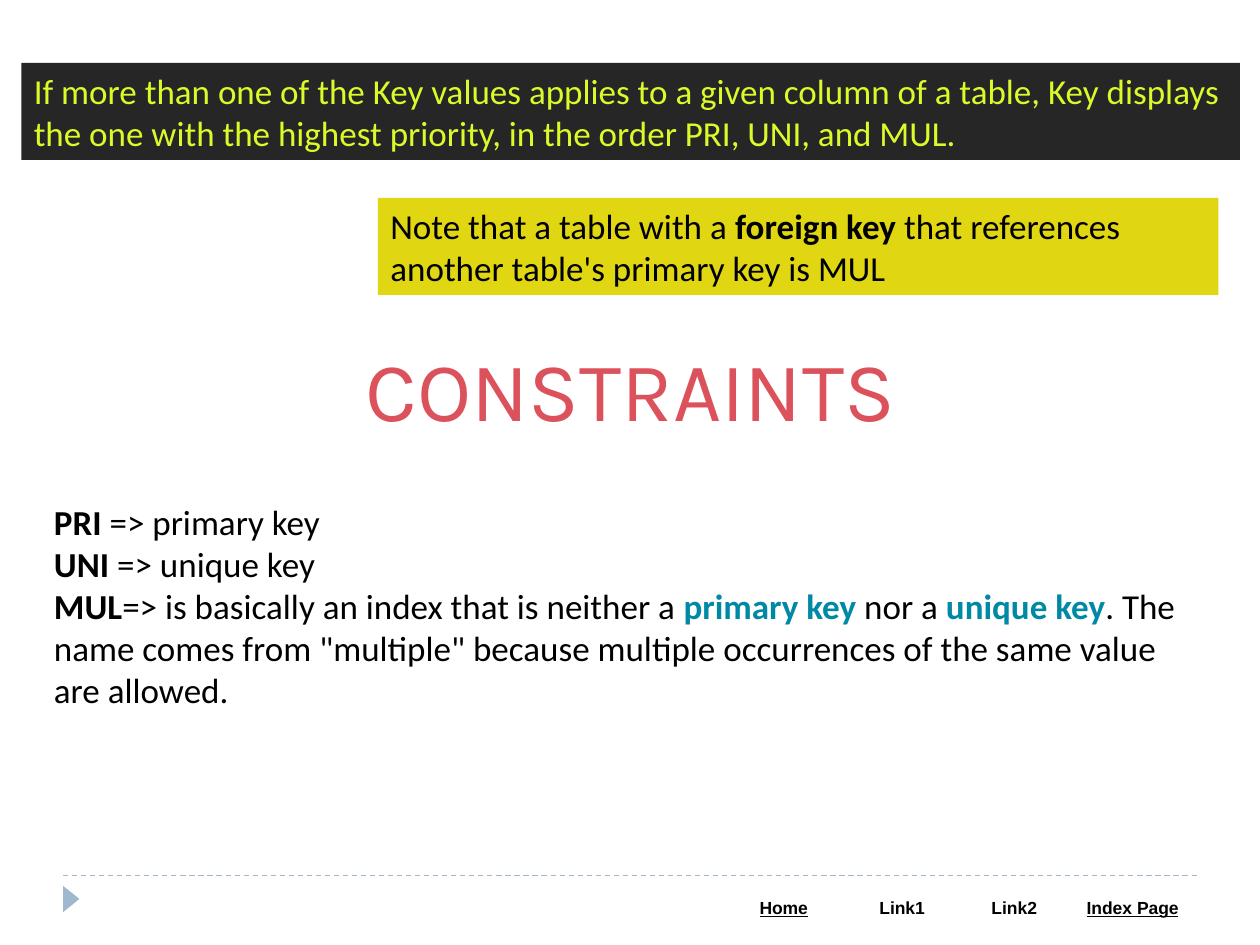
from lxml import etree
from pptx import Presentation
from pptx.dml.color import RGBColor
from pptx.enum import dml, shapes, text
from pptx.oxml.ns import qn
from pptx.util import Inches, Pt

BODY = {"name": "Calibri", "size": Pt(20), "bold": False}
TITLE = {"name": "Karla", "size": Pt(48), "bold": False}
LINK = {"name": "Arial", "size": Pt(10), "bold": True}
BLACK, TEAL, ACCENT = "000000", "0089A4", "9FB8CD"


def color(value):
    return RGBColor.from_string(value)


def inches(box):
    return [Inches(length) for length in box]


def write_spans(para, spans, style, default=BLACK):
    """Add (wording, changes) pairs; changes override the style's font values."""
    for wording, changes in spans:
        span = para.add_run()
        span.text = wording
        values = {**style, **changes}
        span.font.color.rgb = color(values.pop("color", default))
        for name, value in values.items():
            setattr(span.font, name, value)


def fill_frame(frame, paragraphs, style, default=BLACK,
               align=text.PP_ALIGN.LEFT, anchor=text.MSO_ANCHOR.TOP):
    frame.word_wrap = True
    frame.vertical_anchor = anchor
    for index, spans in enumerate(paragraphs):
        para = frame.add_paragraph() if index else frame.paragraphs[0]
        para.alignment = align
        write_spans(para, spans, style, default)


def add_plain_shape(page, kind, box, fill):
    shape = page.shapes.add_shape(kind, *inches(box))
    shape.shadow.inherit = False
    shape.fill.solid()
    shape.fill.fore_color.rgb = color(fill)
    shape.line.fill.background()
    return shape


def add_banner(page, box, fill, spans, default=BLACK):
    banner = add_plain_shape(page, shapes.MSO_SHAPE.RECTANGLE, box, fill)
    fill_frame(banner.text_frame, [spans], BODY, default)


def add_title(page, box, wording):
    title = page.shapes.add_textbox(*inches(box))
    fill_frame(title.text_frame, [[(wording, {})]], TITLE, "DC525C",
               text.PP_ALIGN.CENTER, text.MSO_ANCHOR.MIDDLE)


def add_key_list(page, box):
    bold, term = {"bold": True}, {"bold": True, "color": TEAL}
    paragraphs = [
        [("PRI", bold), (" => primary key", {})],
        [("UNI", bold), (" => unique key", {})],
        [("MUL", bold),
         ("=> is basically an index that is neither a ", {}),
         ("primary key ", term), ("nor a ", {}), ("unique key", term),
         (". The name comes from \"multiple\" because multiple occurrences "
          "of the same value are allowed.", {})],
    ]
    frame = page.shapes.add_textbox(*inches(box)).text_frame
    fill_frame(frame, paragraphs, BODY)


def add_link_table(page, box):
    links = [("Home", 0.94, True), ("Link1", 0.94, False),
             ("Link2", 0.84, False), ("Index Page", 1.04, True)]
    table = page.shapes.add_table(1, len(links), *inches(box)).table
    for index, (label, width, underline) in enumerate(links):
        table.columns[index].width = Inches(width)
        cell = table.cell(0, index)
        cell.fill.solid()
        cell.fill.fore_color.rgb = color("FFFFFF")
        para = cell.text_frame.paragraphs[0]
        para.alignment = text.PP_ALIGN.CENTER
        write_spans(para, [(label, {"underline": underline})], LINK)


def add_footer(page, left, top, width):
    """Draw the dashed rule at top, with the marker and the links below it."""
    marker = add_plain_shape(page, shapes.MSO_SHAPE.ISOSCELES_TRIANGLE,
                             (left - 0.04, top + 0.12, 0.21, 0.13), ACCENT)
    marker.rotation = 90
    rule = page.shapes.add_connector(
        shapes.MSO_CONNECTOR.STRAIGHT, *inches((left, top, left + width, top)))
    rule.line.color.rgb = color(ACCENT)
    rule.line.width = Pt(0.75)
    rule.line.dash_style = dml.MSO_LINE.DASH
    etree.SubElement(rule._element.spPr, qn("a:effectLst"))
    links_width = 3.75
    add_link_table(page, (left + width - links_width, top + 0.13, links_width, 0.27))


def main():
    deck = Presentation()
    deck.slide_width, deck.slide_height = Inches(10), Inches(7.5)
    page = deck.slides.add_slide(deck.slide_layouts[6])
    add_footer(page, 0.5, 6.95, 9)
    add_title(page, (0.17, 2.58, 9.67, 1), "CONSTRAINTS")
    add_key_list(page, (0.33, 3.92, 9.33, 1.78))
    add_banner(page, (0.17, 0.5, 9.67, 0.77), "262626", [
        ("If more than one of the Key values applies to a given column of a "
         "table, Key displays the one with the highest priority, in the order "
         "PRI, UNI, and MUL.", {})], "DCFA2A")
    add_banner(page, (3, 1.57, 6.67, 0.77), "E0D612", [
        ("Note that a table with a ", {}), ("foreign key", {"bold": True}),
        (" that references another table's primary key is MUL", {})])
    deck.save("out.pptx")


if __name__ == "__main__":
    main()
